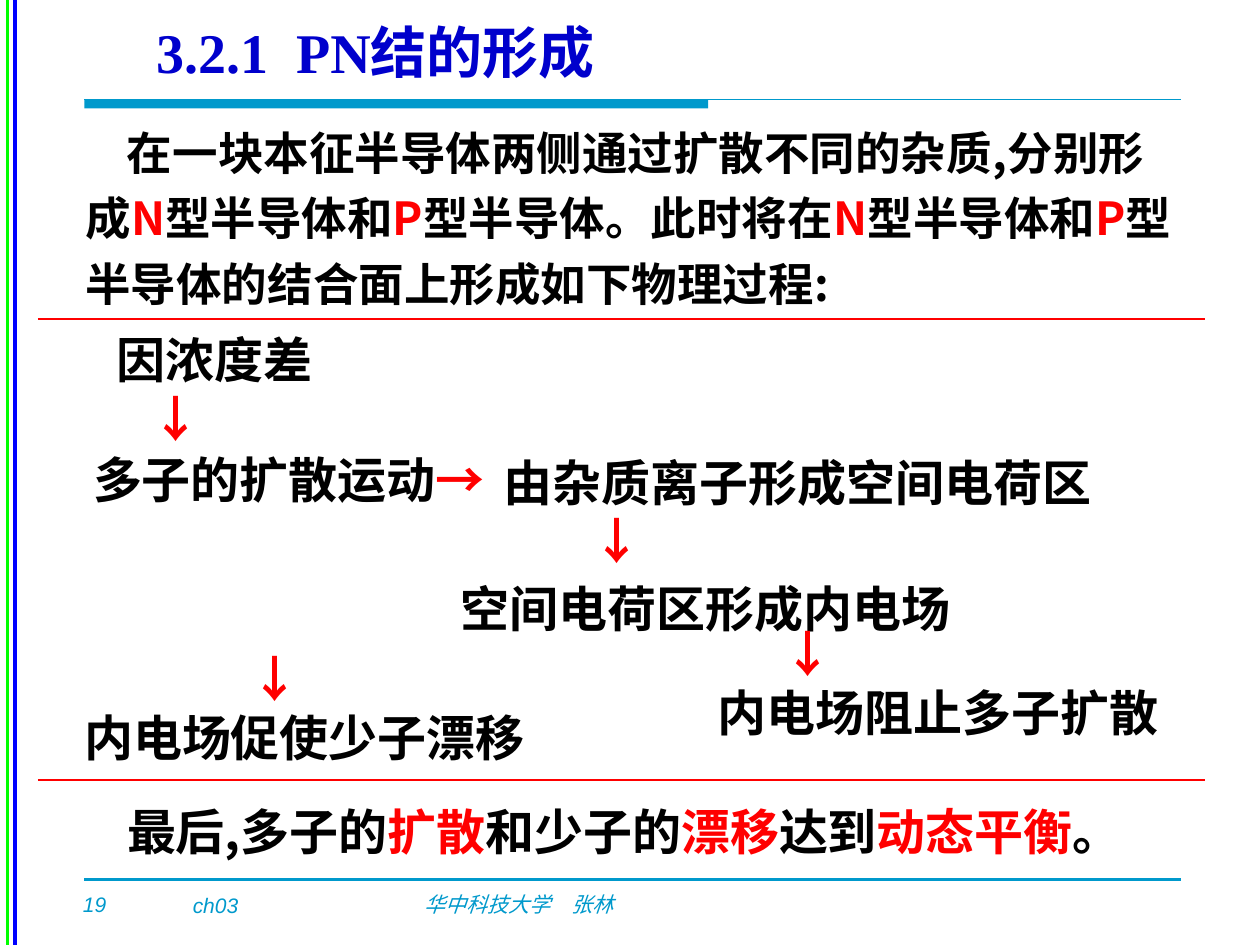
"""Build the slide on how a PN junction forms."""
from pptx import Presentation
from pptx.dml.color import RGBColor
from pptx.enum.shapes import MSO_CONNECTOR, MSO_SHAPE
from pptx.enum.text import MSO_ANCHOR, MSO_AUTO_SIZE
from pptx.oxml.ns import qn
from pptx.util import Emu, Pt
from lxml.etree import SubElement

PX = 9144
CJK = "Noto Sans CJK SC"
TEAL, RED, BLACK = "0099CC", "FF0000", "000000"


def rgb(value):
    """Turn a hex string into a colour."""
    return RGBColor.from_string(value)


def add_text(s, box, paras, size, font=CJK, color=BLACK, italic=False,
             anchor=MSO_ANCHOR.MIDDLE, wrap=True, spacing=None):
    """Add (indent, text) paragraphs; text between bars is red."""
    tf = s.shapes.add_textbox(*[Emu(v * PX) for v in box]).text_frame
    tf.word_wrap = wrap
    tf.auto_size = MSO_AUTO_SIZE.SHAPE_TO_FIT_TEXT
    tf.vertical_anchor = anchor
    for i, (indent, text) in enumerate(paras):
        p = tf.add_paragraph() if i else tf.paragraphs[0]
        if spacing:
            p.line_spacing = spacing
        pPr = p._p.get_or_add_pPr()
        pPr.set("marL", "0")
        pPr.set("indent", str(indent * PX))
        for j, part in enumerate(text.split("|")):
            if not part:
                continue
            r = p.add_run()
            r.text = part
            r.font.size = Pt(size)
            r.font.name = font
            r.font.bold = not italic
            r.font.italic = italic
            r.font.color.rgb = rgb(RED if j % 2 else color)
            SubElement(r._r.get_or_add_rPr(), qn("a:ea"), typeface=CJK)
    return tf


prs = Presentation()
prs.slide_width, prs.slide_height = Emu(1000 * PX), Emu(750 * PX)
s = prs.slides.add_slide(prs.slide_layouts[6])

lines = [
    (12, 0, 12, 750, "0000FF", 2),
    (6, 0, 6, 750, "00FF00", 2),
    (67, 79, 937, 79, TEAL, 1),
    (67, 698, 937, 698, TEAL, 1.25),
    (30, 253, 956, 253, RED, 1.25),
    (30, 619, 956, 619, RED, 1.25),
]
for x1, y1, x2, y2, color, width in lines:
    line = s.shapes.add_connector(
        MSO_CONNECTOR.STRAIGHT, *[Emu(v * PX) for v in (x1, y1, x2, y2)])
    line.line.color.rgb = rgb(color)
    line.line.width = Pt(width)
    SubElement(line._element.spPr, qn("a:effectLst"))

bar = s.shapes.add_shape(
    MSO_SHAPE.RECTANGLE, *[Emu(v * PX) for v in (67, 79, 495, 7)])
bar.shadow.inherit = False
bar.fill.solid()
bar.fill.fore_color.rgb = rgb(TEAL)
bar.line.fill.background()

footer = dict(size=12, font="Arial", color=TEAL, italic=True, anchor=MSO_ANCHOR.TOP)
add_text(s, (56, 703, 41, 30), [(0, "19")], wrap=False, **footer)
add_text(s, (327, 703, 197, 30), [(0, "华中科技大学　张林")], **footer)
tf = add_text(s, (153, 708, 71, 20), [(0, "ch03")], **footer)
tf.margin_left = tf.margin_right = tf.margin_top = tf.margin_bottom = 0

add_text(s, (114, 9, 665, 63), [(0, "3.2.1  PN结的形成")], 32,
         font="Times New Roman", color="0000CC", anchor=MSO_ANCHOR.TOP)
add_text(s, (58, 88, 883, 161),
         [(33, "在一块本征半导体两侧通过扩散不同的杂质,分别形成|N|型半导体和|P|型半导体。"
               "此时将在|N|型半导体和|P|型半导体的结合面上形成如下物理过程:")],
         26, spacing=1.2)

steps = [
    ((30, 257, 311, 103), [(53, "因浓度差"), (80, "|↓|")]),
    ((64, 352, 361, 57), [(0, "多子的扩散运动|→|")]),
    ((390, 354, 522, 103), [(0, "由杂质离子形成空间电荷区"), (70, "|↓|")]),
    ((356, 454, 411, 57), [(0, "空间电荷区形成内电场")]),
    ((30, 510, 467, 103), [(159, "|↓|"), (27, "内电场促使少子漂移")]),
    ((560, 490, 400, 103), [(52, "|↓|"), (0, "内电场阻止多子扩散")]),
]
for box, paras in steps:
    add_text(s, box, paras, 28)

add_text(s, (91, 627, 865, 61),
         [(0, "最后,多子的|扩散|和少子的|漂移|达到|动态平衡|。")], 28, spacing=1.1)

prs.save("out.pptx")
